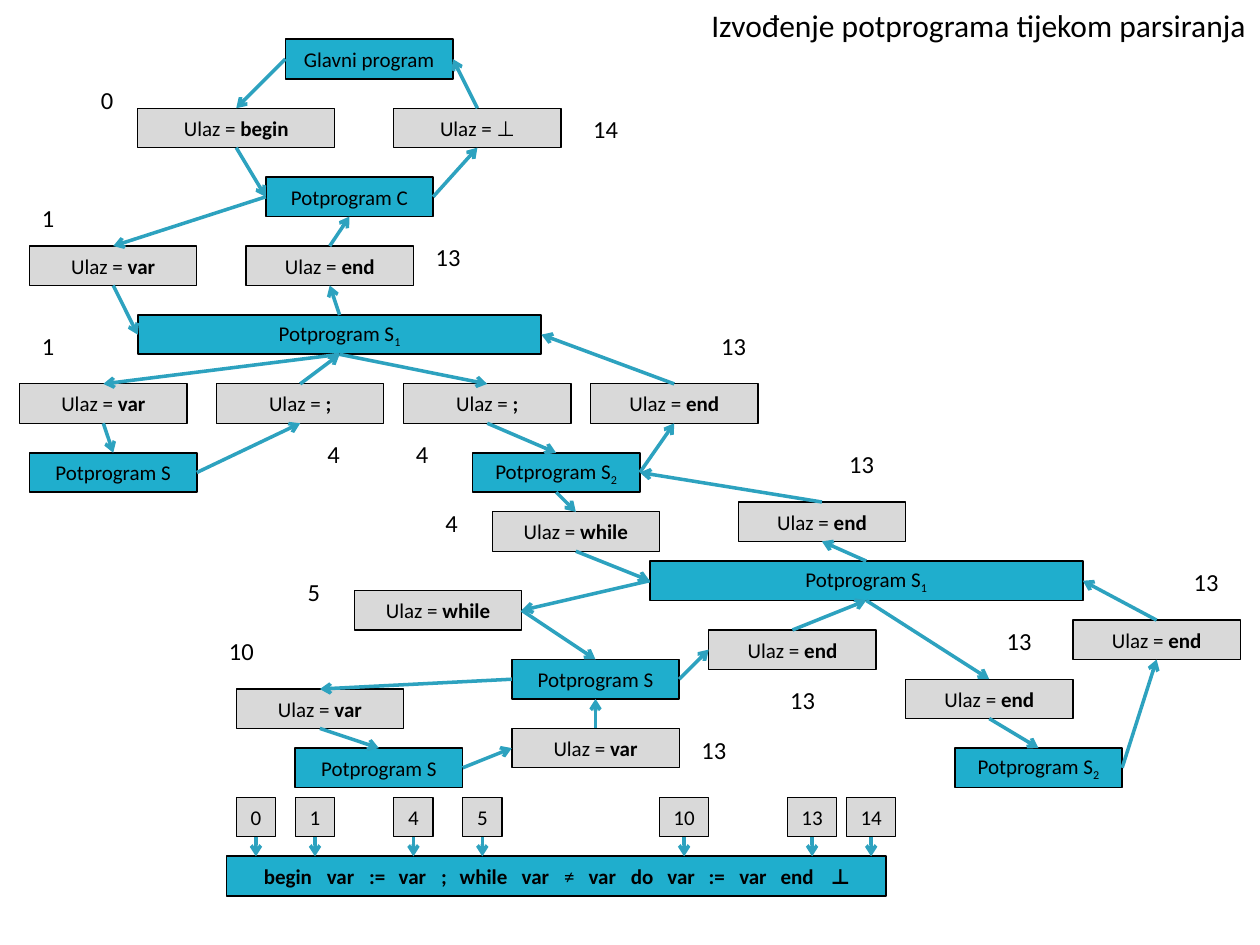
from dataclasses import dataclass
from typing import Any

from lxml.etree import SubElement
from pptx import Presentation
from pptx.dml.color import RGBColor
from pptx.enum.shapes import MSO_CONNECTOR, MSO_SHAPE
from pptx.enum.text import PP_ALIGN
from pptx.oxml.ns import qn
from pptx.util import Inches, Pt

BLACK = RGBColor(0, 0, 0)
CYAN = RGBColor(0x1F, 0xAE, 0xCD)
GREY = RGBColor(0xD9, 0xD9, 0xD9)
ARROW = RGBColor(0x2D, 0xA2, 0xBF)
FONT = "Calibri"
UNIT = Inches(10) / 128
TOP, LEFT, BOTTOM, RIGHT = range(4)
BOX_WIDTH, BOX_HEIGHT = 17, 4


@dataclass
class Region:
    shapes: Any
    col: float
    row: float

    def place(self, col, row, width, height):
        return [round(n * UNIT) for n in (self.col + col, self.row + row, width, height)]


def style_run(run, size, bold=False):
    run.font.name = FONT
    run.font.size = Pt(size)
    run.font.bold = bold
    run.font.color.rgb = BLACK


def add_box(region, col, row, width, fill, text, line_width):
    box = region.shapes.add_shape(MSO_SHAPE.RECTANGLE, *region.place(col, row, width, BOX_HEIGHT))
    box.shadow.inherit = False
    box.fill.solid()
    box.fill.fore_color.rgb = fill
    box.line.color.rgb = BLACK
    box.line.width = Pt(line_width)
    box.text_frame.word_wrap = True
    box.text_frame.text = text
    paragraph = box.text_frame.paragraphs[0]
    paragraph.alignment = PP_ALIGN.CENTER
    style_run(paragraph.runs[0], 12)
    return box


def add_routine(region, col, row, text, subscript="", width=BOX_WIDTH):
    box = add_box(region, col, row, width, CYAN, text, 1)
    if subscript:
        run = box.text_frame.paragraphs[0].add_run()
        run.text = subscript
        style_run(run, 12)
        run.font._element.set("baseline", "-25000")
    return box


def add_input(region, col, row, symbol, width=BOX_WIDTH):
    box = add_box(region, col, row, width, GREY, "Ulaz = ", 0.75)
    run = box.text_frame.paragraphs[0].add_run()
    run.text = symbol
    style_run(run, 12, symbol != "⊥")
    return box


def style_arrow(connector):
    connector.line.color.rgb = ARROW
    connector.line.width = Pt(2)
    SubElement(connector.line._get_or_add_ln(), qn("a:tailEnd"), type="arrow")
    SubElement(connector._element.spPr, qn("a:effectLst"))


def link(region, source, source_side, target, target_side):
    connector = region.shapes.add_connector(MSO_CONNECTOR.STRAIGHT, 0, 0, 0, 0)
    connector.begin_connect(source, source_side)
    connector.end_connect(target, target_side)
    style_arrow(connector)


def add_label(region, col, row, text, width, height, size, wrap=True):
    label = region.shapes.add_textbox(*region.place(col, row, width, height))
    label.text_frame.word_wrap = wrap
    label.text_frame.text = text
    style_run(label.text_frame.paragraphs[0].runs[0], size)


def add_positions(region, positions):
    for col, row, text in positions:
        add_label(region, col, row, text, 2 + 2 * len(text), 4.35, 14)


def draw_upper_calls(region):
    main = add_routine(region, 29, 4, "Glavni program")
    routine_c = add_routine(region, 27, 18, "Potprogram C")
    routine_s1 = add_routine(region, 14, 32, "Potprogram S", "1", 41)
    routine_s = add_routine(region, 3, 46, "Potprogram S")
    routine_s2 = add_routine(region, 48, 46, "Potprogram S", "2")
    begin = add_input(region, 14, 11, "begin", 20)
    bottom = add_input(region, 40, 11, "⊥")
    var_c = add_input(region, 3, 25, "var")
    end_c = add_input(region, 25, 25, "end")
    var_s, semicolon_s, semicolon_s2, end_s2 = [
        add_input(region, col, 39, symbol)
        for col, symbol in ((2, "var"), (22, ";"), (41, ";"), (60, "end"))
    ]
    for ends in (
        (main, LEFT, begin, TOP), (begin, BOTTOM, routine_c, LEFT),
        (routine_c, RIGHT, bottom, BOTTOM), (bottom, TOP, main, RIGHT),
        (routine_c, LEFT, var_c, TOP), (var_c, BOTTOM, routine_s1, LEFT),
        (routine_s1, TOP, end_c, BOTTOM), (end_c, TOP, routine_c, BOTTOM),
        (routine_s1, BOTTOM, var_s, TOP), (var_s, BOTTOM, routine_s, TOP),
        (routine_s, RIGHT, semicolon_s, BOTTOM), (semicolon_s, TOP, routine_s1, BOTTOM),
        (routine_s1, BOTTOM, semicolon_s2, TOP), (semicolon_s2, BOTTOM, routine_s2, TOP),
        (routine_s2, RIGHT, end_s2, BOTTOM), (end_s2, TOP, routine_s1, RIGHT),
    ):
        link(region, *ends)
    add_positions(region, (
        (9, 8, "0"), (59, 11, "14"), (3, 20, "1"), (43, 24, "13"), (3, 33, "1"),
        (32, 44, "4"), (41, 44, "4"), (72, 33, "13"), (85, 45, "13"),
    ))
    return routine_s2


def draw_lower_calls(region, caller):
    routine_s1 = add_routine(region, 44, 6, "Potprogram S", "1", 44)
    routine_while = add_routine(region, 30, 16, "Potprogram S")
    routine_s = add_routine(region, 8, 25, "Potprogram S")
    routine_s2 = add_routine(region, 75, 25, "Potprogram S", "2")
    while_s1 = add_input(region, 28, 1, "while")
    end_s1 = add_input(region, 53, 0, "end")
    while_s = add_input(region, 14, 9, "while")
    end_s = add_input(region, 50, 13, "end")
    var_in = add_input(region, 2, 19, "var")
    var_out = add_input(region, 30, 23, "var")
    end_in = add_input(region, 70, 18, "end")
    end_out = add_input(region, 87, 12, "end")
    for ends in (
        (caller, BOTTOM, while_s1, TOP), (while_s1, BOTTOM, routine_s1, LEFT),
        (routine_s1, TOP, end_s1, BOTTOM), (end_s1, TOP, caller, RIGHT),
        (routine_s1, LEFT, while_s, RIGHT), (while_s, RIGHT, routine_while, TOP),
        (routine_while, RIGHT, end_s, LEFT), (end_s, TOP, routine_s1, BOTTOM),
        (routine_s1, BOTTOM, end_in, TOP), (end_in, BOTTOM, routine_s2, TOP),
        (routine_s2, RIGHT, end_out, BOTTOM), (end_out, TOP, routine_s1, RIGHT),
        (routine_while, LEFT, var_in, TOP), (var_in, BOTTOM, routine_s, TOP),
        (routine_s, RIGHT, var_out, LEFT), (var_out, TOP, routine_while, BOTTOM),
    ):
        link(region, *ends)
    add_positions(region, (
        (22, 0, "4"), (8, 7, "5"), (57, 18, "13"), (79, 12, "13"),
        (98, 6, "13"), (0, 13, "10"), (48, 23, "13"),
    ))


def draw_input_tape(region):
    tokens = "begin var := var ; while var ≠ var do var := var end ⊥".split()
    stops = (6.4, 10.7, 13.7, 18, 19.9, 26.2, 30.5, 33, 37.3, 41, 45.2, 48.3, 52.5, 57.6)
    tape = add_box(region, 0, 6, 67, CYAN, tokens[0], 1)
    tape.text_frame.margin_left = round(3.8 * UNIT)
    paragraph = tape.text_frame.paragraphs[0]
    paragraph.alignment = PP_ALIGN.LEFT
    tab_list = SubElement(paragraph._p.get_or_add_pPr(), qn("a:tabLst"))
    for stop in stops:
        SubElement(tab_list, qn("a:tab"), pos=str(round(stop * UNIT)), algn="l")
    paragraph.text = "\t".join(tokens[:7]) + "\t"
    for text in ("≠\t", "\t".join(tokens[8:])):
        paragraph.add_run().text = text
    for run in paragraph.runs:
        style_run(run, 12, "≠" not in run.text)
    for col, number in ((1, "0"), (7, "1"), (17, "4"), (24, "5"), (44, "10"), (57, "13"), (63, "14")):
        width = 3 + len(number)
        add_box(region, col, 0, width, GREY, number, 0.75)
        x, y, _, gap = region.place(col + width / 2, BOX_HEIGHT, 0, 2)
        style_arrow(region.shapes.add_connector(MSO_CONNECTOR.STRAIGHT, x, y, x, y + gap))


def draw_title(region):
    add_label(region, 0, 0, "Izvođenje potprograma tijekom parsiranja", 57, 5.12, 18, False)


def main():
    deck = Presentation()
    deck.slide_width, deck.slide_height = Inches(10), Inches(7.5)
    shapes = deck.slides.add_slide(deck.slide_layouts[6]).shapes
    outer_s2 = draw_upper_calls(Region(shapes, 0, 0))
    draw_lower_calls(Region(shapes, 22, 51), outer_s2)
    draw_input_tape(Region(shapes, 23, 81))
    draw_title(Region(shapes, 71, 0))
    deck.save("out.pptx")


if __name__ == "__main__":
    main()
